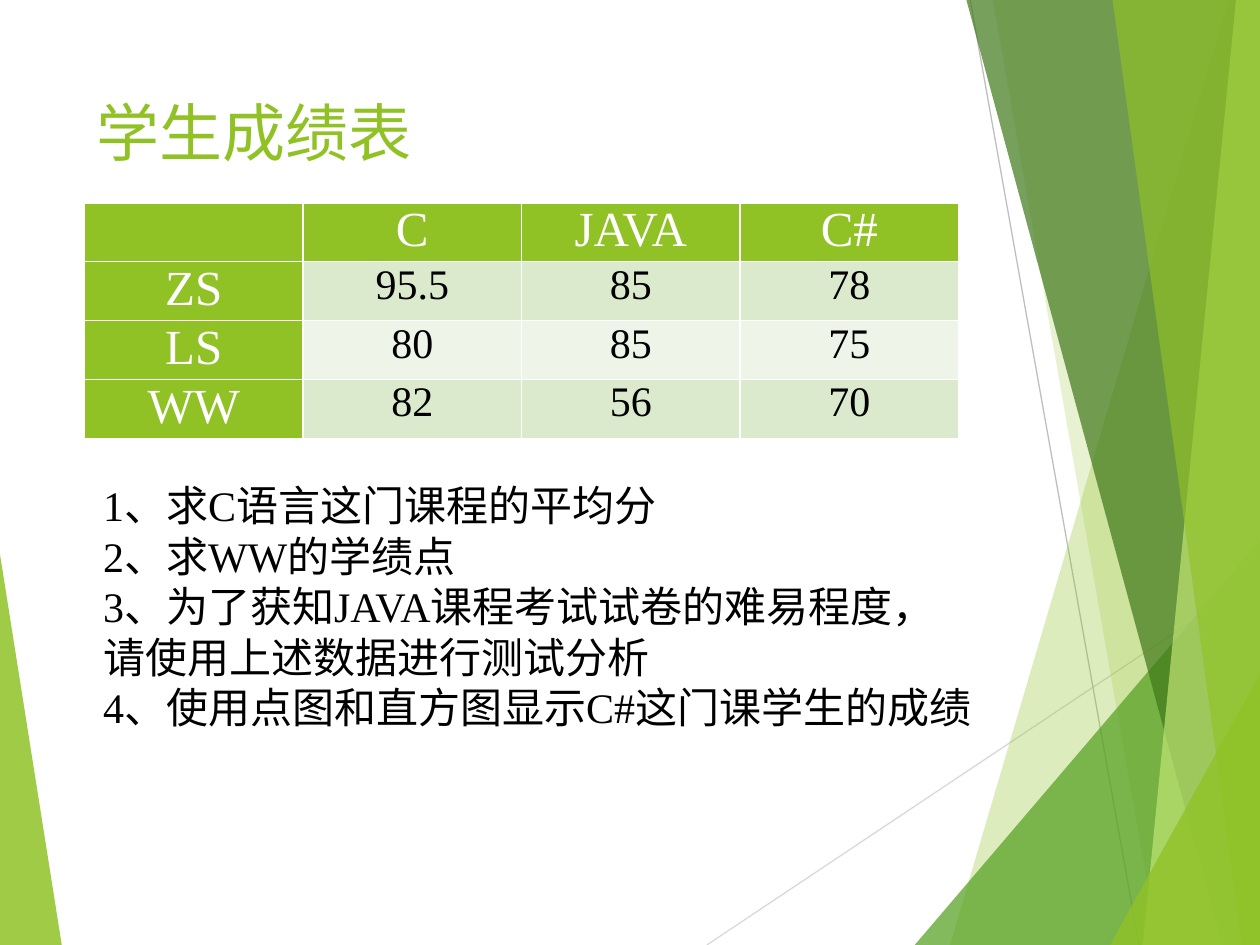
from lxml import etree
from pptx import Presentation
from pptx import util as u
from pptx.dml import color
from pptx.enum import shapes, text
from pptx.oxml import ns

FONT = "Times New Roman"
GREEN, WHITE, BLACK = "90C226", "FFFFFF", "000000"
ROWS = [
    ["", "C", "JAVA", "C#"],
    ["ZS", "95.5", "85", "78"],
    ["LS", "80", "85", "75"],
    ["WW", "82", "56", "70"],
]
TASKS = [
    "1、求C语言这门课程的平均分",
    "2、求WW的学绩点",
    "3、为了获知JAVA课程考试试卷的难易程度，请使用上述数据进行测试分析",
    "4、使用点图和直方图显示C#这门课学生的成绩",
]


def rgb(code):
    return color.RGBColor.from_string(code)


def sub(node, tag, **attrs):
    return etree.SubElement(node, ns.qn(tag), **attrs)


def write(frame, lines, size=24, ink=BLACK, align=text.PP_ALIGN.LEFT):
    frame.word_wrap = True
    for i, line in enumerate(lines):
        para = frame.paragraphs[0] if i == 0 else frame.add_paragraph()
        para.alignment = align
        run = para.add_run()
        run.text = line
        run.font.name = FONT
        run.font.size = u.Pt(size)
        run.font.color.rgb = rgb(ink)


def label(slide, box, lines, anchor=text.MSO_ANCHOR.TOP, **form):
    frame = slide.shapes.add_textbox(*map(u.Inches, box)).text_frame
    frame.vertical_anchor = anchor
    write(frame, lines, **form)


def facet(slide, points, fill, alpha):
    """Draw a borderless polygon with alpha percent opacity."""
    spots = [(u.Inches(x), u.Inches(y)) for x, y in points]
    pen = slide.shapes.build_freeform(*spots[0])
    pen.add_line_segments(spots[1:])
    shape = pen.convert_to_shape()
    shape.shadow.inherit = False
    shape.line.fill.background()
    shape.fill.solid()
    shape.fill.fore_color.rgb = rgb(fill)
    tint = shape.fill._xPr.find(".//" + ns.qn("a:srgbClr"))
    sub(tint, "a:alpha", val=str(alpha * 1000))


def ray(slide, start, end, ink):
    line = slide.shapes.add_connector(
        shapes.MSO_CONNECTOR.STRAIGHT, *map(u.Inches, start + end))
    line.line.color.rgb = rgb(ink)
    line.line.width = u.Pt(0.75)
    sub(line._element.spPr, "a:effectLst")


def decor(slide, box):
    """Draw the slim left facet, two rays and the fan along the right edge."""
    x, y, w, h = box
    right, foot = x + w, y + h
    facet(slide, [(x, y + 4.4), (x + 0.49, foot), (x, foot)], GREEN, 85)
    ray(slide, (x + 5.61, foot), (right, y + 4.57), "D9D9D9")
    ray(slide, (x + 7.7, y), (x + 9.04, foot), "BFBFBF")
    # top x, bottom x, fill, opacity: each band runs on to the right edge
    bands = [
        (9.75, 7.54, GREEN, 30),
        (7.88, 9.19, GREEN, 20),
        (None, 7.26, "54A021", 72),
        (7.67, 9.7, "3F7819", 70),
        (9.81, 9.07, "C0E474", 70),
        (8.83, 9.86, GREEN, 65),
        (None, 8.81, GREEN, 80),
    ]
    peaks = {7.26: 4.29, 8.81: 5.35}  # where the triangles meet the edge
    for top, base, fill, alpha in bands:
        if top is None:
            head = [(right, y + peaks[base])]
        else:
            head = [(right, y), (x + top, y)]
        facet(slide, head + [(x + base, foot), (right, foot)], fill, alpha)


def edge(cell):
    """Give the cell a thin white border on all sides."""
    props = cell._tc.get_or_add_tcPr()
    for i, side in enumerate(("a:lnL", "a:lnR", "a:lnT", "a:lnB")):
        line = etree.Element(ns.qn(side), w=str(u.Pt(1)))
        sub(sub(line, "a:solidFill"), "a:srgbClr", val=WHITE)
        props.insert(i, line)


def scores(slide, box):
    grid = slide.shapes.add_table(
        len(ROWS), len(ROWS[0]), *map(u.Inches, box)).table
    for col in grid.columns:
        col.width = u.Inches(box[2] / len(ROWS[0]))
    for r, row in enumerate(ROWS):
        grid.rows[r].height = u.Inches(box[3] / len(ROWS))
        for c, word in enumerate(row):
            cell = grid.cell(r, c)
            head = r == 0 or c == 0
            cell.margin_left = cell.margin_right = u.Inches(0.09)
            cell.margin_top = cell.margin_bottom = 0
            cell.fill.solid()
            band = "DBE9CD" if r % 2 else "EEF4E8"
            cell.fill.fore_color.rgb = rgb(GREEN if head else band)
            edge(cell)
            if word:
                write(cell.text_frame, [word], size=28 if head else 24,
                      ink=WHITE if head else BLACK,
                      align=text.PP_ALIGN.CENTER)


def main():
    deck = Presentation()
    deck.slide_width, deck.slide_height = u.Inches(10), u.Inches(7.5)
    slide = deck.slides.add_slide(deck.slide_layouts[6])
    slide.background.fill.solid()
    slide.background.fill.fore_color.rgb = rgb(WHITE)
    decor(slide, (0, 0, 10, 7.5))
    label(slide, (0.67, 0.67, 6.94, 0.74), ["学生成绩表"],
          anchor=text.MSO_ANCHOR.MIDDLE, size=36, ink=GREEN)
    scores(slide, (0.67, 1.61, 6.94, 1.72))
    label(slide, (0.72, 3.76, 7.1, 2.12), TASKS)
    deck.save("out.pptx")


if __name__ == "__main__":
    main()
